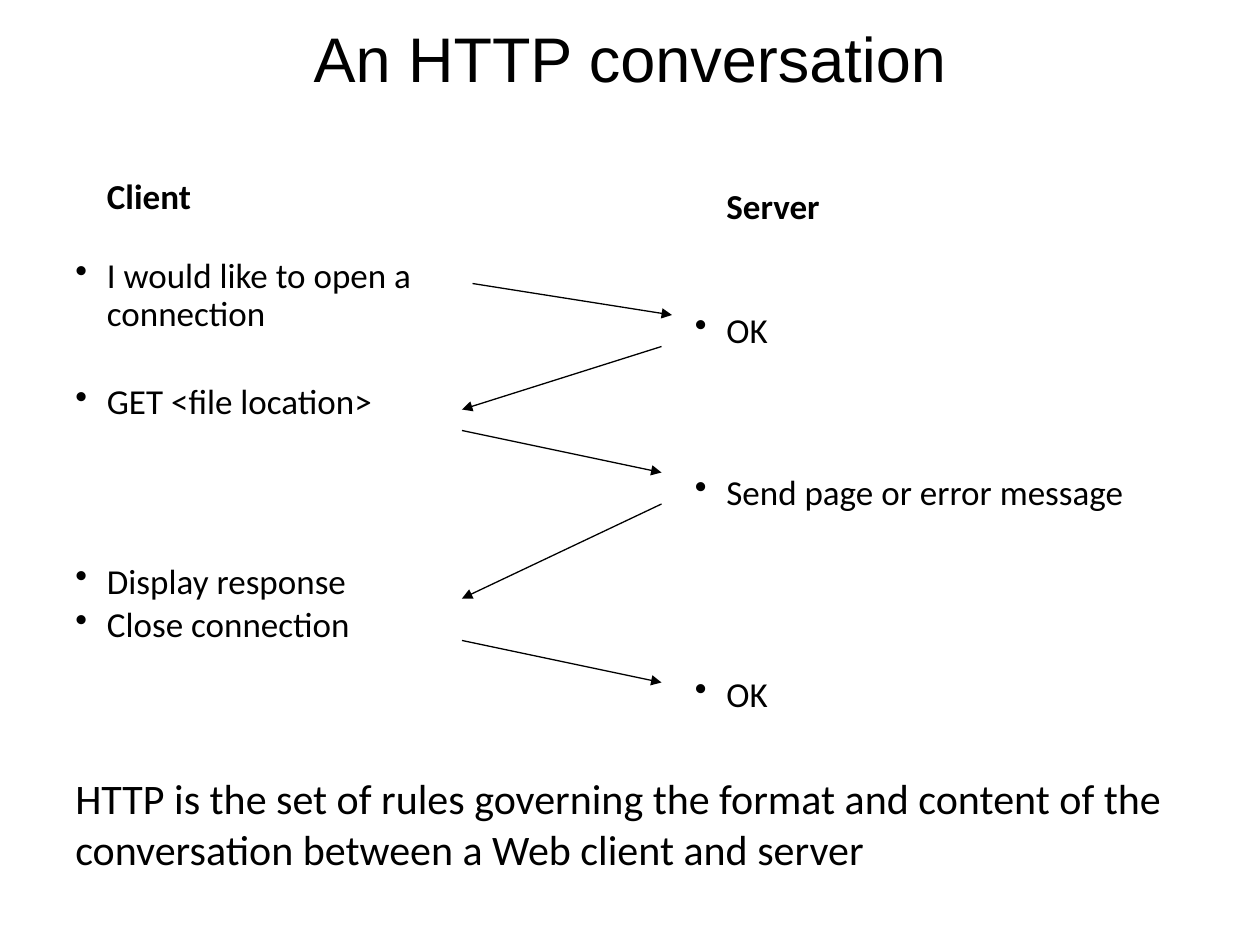
from dataclasses import dataclass

from lxml import etree
from pptx import Presentation
from pptx.dml.color import RGBColor
from pptx.enum.shapes import MSO_CONNECTOR
from pptx.enum.text import MSO_ANCHOR, PP_ALIGN
from pptx.oxml.ns import qn
from pptx.util import Inches, Pt

STRAIGHT = MSO_CONNECTOR.STRAIGHT
MIDDLE = MSO_ANCHOR.MIDDLE
TOP = MSO_ANCHOR.TOP
CENTER = PP_ALIGN.CENTER
LEFT = PP_ALIGN.LEFT


@dataclass(frozen=True)
class Theme:
    """Colours, fonts and sizes of the slide."""
    ink: RGBColor = RGBColor(0, 0, 0)
    title_font: str = "Arial"
    body_font: str = "Calibri"
    title_size: int = 36
    body_size: int = 20
    summary_size: int = 24
    line_width: float = 0.75
    bullet_indent: float = 0.25


THEME = Theme()


def grid(units):
    """Convert grid units, twelve to the inch, to a length."""
    return Inches(units / 12)


def add_text(slide, box, lines, size=THEME.body_size, font=THEME.body_font,
             bold=False, wrap=True, align=LEFT, anchor=TOP):
    """Add a text box on the grid and return its text frame."""
    frame = slide.shapes.add_textbox(*map(grid, box)).text_frame
    frame.word_wrap = wrap
    frame.vertical_anchor = anchor
    frame.text = "\n".join(lines)
    for paragraph in frame.paragraphs:
        paragraph.alignment = align
        for run in paragraph.runs:
            run.font.name = font
            run.font.size = Pt(size)
            run.font.bold = bold
            run.font.color.rgb = THEME.ink
    return frame


def add_messages(slide, box, messages, line_spacing):
    """Add a bulleted column of (text, space before) messages."""
    frame = add_text(slide, box, [text for text, _ in messages])
    indent = Inches(THEME.bullet_indent)
    for paragraph, (_, gap) in zip(frame.paragraphs, messages):
        properties = paragraph._p.get_or_add_pPr()
        properties.set("marL", str(indent))
        properties.set("indent", str(-indent))
        etree.SubElement(properties, qn("a:buChar")).set("char", "•")
        paragraph.line_spacing = line_spacing
        paragraph.space_before = Pt(gap)


def add_arrow(slide, start, end):
    """Draw an arrow between two grid points."""
    arrow = slide.shapes.add_connector(STRAIGHT, *map(grid, start + end))
    arrow.line.color.rgb = THEME.ink
    arrow.line.width = Pt(THEME.line_width)
    outline = arrow.line._get_or_add_ln()
    etree.SubElement(outline, qn("a:tailEnd")).set("type", "triangle")
    etree.SubElement(arrow._element.spPr, qn("a:effectLst"))


def main():
    """Build the slide and save it."""
    deck = Presentation()
    deck.slide_width, deck.slide_height = Inches(10), Inches(7.5)
    slide = deck.slides.add_slide(deck.slide_layouts[6])

    client_messages = [("I would like to open a connection", 0),
                       ("GET <file location>", 28.9),
                       ("Display response", 80.9),
                       ("Close connection", 3.4)]
    server_messages = [("OK", 0),
                       ("Send page or error message", 73),
                       ("OK", 96.5)]
    add_messages(slide, (6, 24, 39, 41.4), client_messages, 0.9)
    add_messages(slide, (65, 29.6, 53, 42.4), server_messages, 0.8)

    headings = [("Client", (9, 16, 10.4, 5.3)),
                ("Server", (68, 17, 11.4, 5.3))]
    for heading, box in headings:
        add_text(slide, box, [heading], bold=True, wrap=False)

    client_edge, server_edge = 44, 63
    exchanges = [((client_edge + 1, 27), (server_edge + 1, 30)),
                 ((server_edge, 33), (client_edge, 39)),
                 ((client_edge, 41), (server_edge, 45)),
                 ((server_edge, 48), (client_edge, 57)),
                 ((client_edge, 61), (server_edge, 65))]
    for start, end in exchanges:
        add_arrow(slide, start, end)

    summary = ("HTTP is the set of rules governing the format and content of "
               "the conversation between a Web client and server")
    add_text(slide, (6, 73, 108, 10.9), [summary], size=THEME.summary_size)
    add_text(slide, (6, 0, 108, 11), ["An HTTP conversation"],
             size=THEME.title_size, font=THEME.title_font,
             align=CENTER, anchor=MIDDLE)
    deck.save("out.pptx")


if __name__ == "__main__":
    main()
